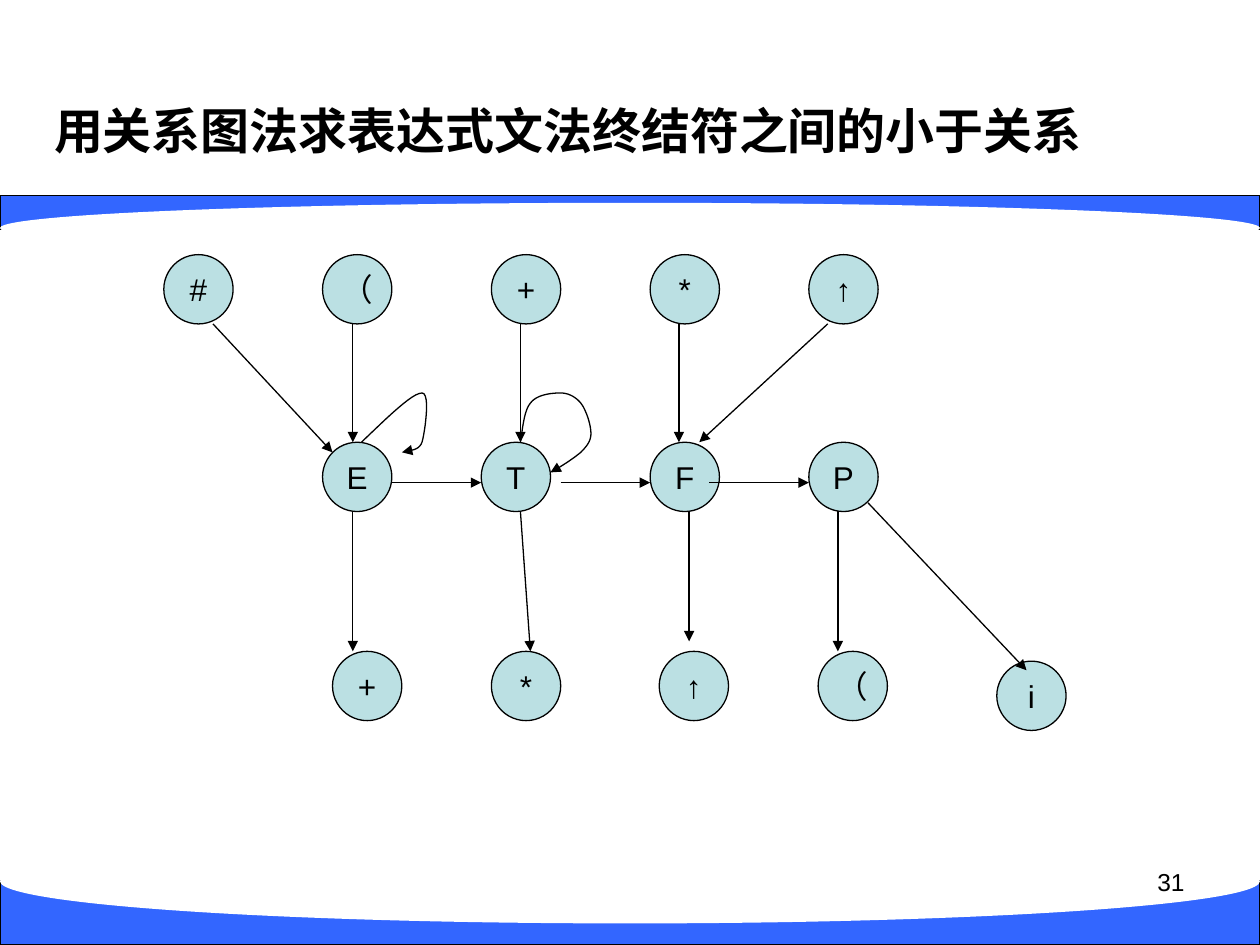
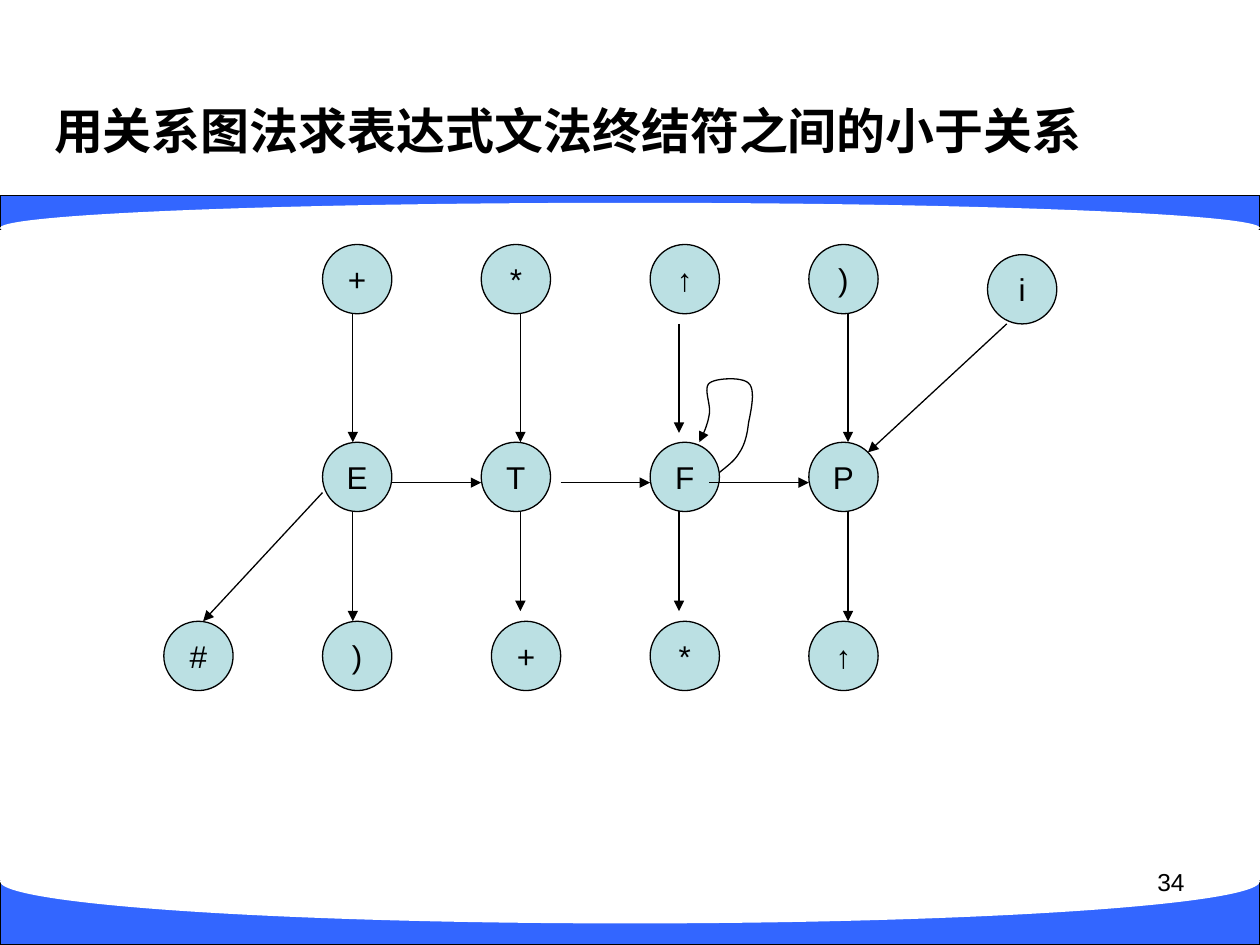
from lxml import etree
from pptx import Presentation
from pptx.dml.color import RGBColor
from pptx.enum import shapes, text
from pptx.oxml import ns
from pptx.util import Pt

# Shared style
FONT = "Arial"
BLACK = RGBColor(0x00, 0x00, 0x00)
WHITE = RGBColor(0xFF, 0xFF, 0xFF)
BAND_BLUE = RGBColor(0x33, 0x66, 0xFF)
NODE_BLUE = RGBColor(0xBB, 0xE0, 0xE3)
SLIDE_W, SLIDE_H = 720, 540
LINE_W = 0.75
TITLE = "用关系图法求表达式文法终结符之间的小于关系"

# Diagram grid: columns are left edges of nodes, rows are top edges
NODE = 39.6
COL_HASH, COL_E, COL_T, COL_F, COL_P = 93.6, 184.3, 275, 371.5, 462.2
COL_PLUS = 280.8
ROW_MID = 252.7
MID_BOTTOM = ROW_MID + NODE
AXIS_Y = 275.8
STEM_E, STEM_T, STEM_F, STEM_P = 201.6, 297.4, 388, 484.6

NONTERMINALS = [("E", COL_E, ROW_MID), ("T", COL_T, ROW_MID),
                ("F", COL_F, ROW_MID), ("P", COL_P, ROW_MID)]
CHAIN = [(224, AXIS_Y, COL_T, AXIS_Y), (320.4, AXIS_Y, COL_F, AXIS_Y),
         (405.4, AXIS_Y, COL_P, AXIS_Y)]

# Self loops: a start point, then three Bezier points per curve
LOOP_E = [(206.6, 252.7), (221, 239), (235.4, 224.6), (241.2, 224.6),
          (246.2, 224.6), (242.6, 247.7), (241.2, 252.7),
          (239, 258.5), (232.6, 257), (229.7, 258.5)]
LOOP_T = [(297.4, 252.7), (298.8, 244.1), (299.5, 234.7), (303.1, 230.4),
          (306.7, 225.4), (315.4, 224.6), (320.4, 224.6),
          (324.7, 224.6), (329, 226.8), (331.9, 230.4),
          (334.8, 234), (337.7, 242.6), (337.7, 247.7),
          (337.7, 252), (335.5, 254.9), (331.9, 258.5),
          (327.6, 262.1), (321.1, 266.4), (314.6, 270)]
LOOP_F = [(411.1, 270), (415.4, 266.4), (419.8, 263.5), (422.6, 258.5),
          (425.5, 254.2), (427, 248.4), (427.7, 241.9),
          (429.1, 234.7), (432, 222.5), (427.7, 218.9),
          (424.1, 215.3), (409, 216), (405.4, 218.9),
          (401.8, 221.8), (406.1, 230.4), (405.4, 236.2),
          (404.6, 241.9), (402.5, 247), (399.6, 252.7)]


def write(frame, content, size, align, bold=False):
    frame.text = content
    paragraph = frame.paragraphs[0]
    paragraph.alignment = align
    font = paragraph.runs[0].font
    font.name, font.size, font.bold = FONT, Pt(size), bold
    font.color.rgb = BLACK


def add_label(slide, box, content, size, align, anchor, bold=False):
    frame = slide.shapes.add_textbox(*map(Pt, box)).text_frame
    frame.word_wrap = True
    frame.vertical_anchor = anchor
    write(frame, content, size, align, bold)


def add_filled(slide, kind, box, fill, outlined=True):
    shape = slide.shapes.add_shape(kind, *map(Pt, box))
    shape.shadow.inherit = False
    shape.fill.solid()
    shape.fill.fore_color.rgb = fill
    if outlined:
        shape.line.color.rgb = BLACK
        shape.line.width = Pt(LINE_W)
    else:
        shape.line.fill.background()
    return shape


def add_band(slide, band_top, band_height, curve_top, curve_height):
    add_filled(slide, shapes.MSO_SHAPE.RECTANGLE,
               (0, band_top, SLIDE_W, band_height), BAND_BLUE)
    add_filled(slide, shapes.MSO_SHAPE.OVAL,
               (0, curve_top, SLIDE_W, curve_height), WHITE, outlined=False)


def add_node(slide, symbol, left, top):
    node = add_filled(slide, shapes.MSO_SHAPE.OVAL, (left, top, NODE, NODE), NODE_BLUE)
    frame = node.text_frame
    frame.word_wrap = False
    frame.vertical_anchor = text.MSO_ANCHOR.MIDDLE
    write(frame, symbol, 18, text.PP_ALIGN.CENTER)


def style_arrow(line):
    line.color.rgb = BLACK
    line.width = Pt(LINE_W)
    etree.SubElement(line._get_or_add_ln(), ns.qn("a:tailEnd"), type="triangle")


def add_arrow(slide, x1, y1, x2, y2):
    arrow = slide.shapes.add_connector(
        shapes.MSO_CONNECTOR.STRAIGHT, *map(Pt, (x1, y1, x2, y2)))
    style_arrow(arrow.line)
    etree.SubElement(arrow._element.spPr, ns.qn("a:effectLst"))


def bezier_points(controls, steps=12):
    for i in range(0, len(controls) - 1, 3):
        curve = controls[i:i + 4]
        for step in range(1, steps + 1):
            t = step / steps
            weights = ((1 - t) ** 3, 3 * t * (1 - t) ** 2, 3 * t * t * (1 - t), t ** 3)
            yield tuple(Pt(sum(w * p[axis] for w, p in zip(weights, curve)))
                        for axis in (0, 1))


def add_loop(slide, controls):
    builder = slide.shapes.build_freeform(*map(Pt, controls[0]))
    builder.add_line_segments(list(bezier_points(controls)), close=False)
    loop = builder.convert_to_shape()
    loop.fill.background()
    style_arrow(loop.line)
    loop.shadow.inherit = False


def add_diagram_slide(deck, number, terminals, arrows, loops):
    slide = deck.slides.add_slide(deck.slide_layouts[6])
    # Bands, title and slide number
    add_band(slide, 111.6, 19.4, 115.9, 28.8)
    add_band(slide, 503.3, 36.7, 479.5, 48.2)
    add_label(slide, (23.8, 48.2, 672.5, 51.8), TITLE, 28,
              text.PP_ALIGN.LEFT, text.MSO_ANCHOR.MIDDLE, bold=True)
    add_label(slide, (516.2, 491.8, 167.8, 37.4), number, 14,
              text.PP_ALIGN.RIGHT, text.MSO_ANCHOR.TOP)
    # Relation graph
    for node in NONTERMINALS + terminals:
        add_node(slide, *node)
    for arrow in CHAIN + arrows:
        add_arrow(slide, *arrow)
    for loop in loops:
        add_loop(slide, loop)


def main():
    deck = Presentation()
    deck.slide_width, deck.slide_height = Pt(SLIDE_W), Pt(SLIDE_H)

    # First graph: loops on E and T
    upper, lower = 145.5, 372.2
    upper_bottom = upper + NODE
    add_diagram_slide(
        deck, "31",
        [("#", COL_HASH, upper), ("（", COL_E, upper), ("+", COL_PLUS, upper),
         ("*", COL_F, upper), ("↑", COL_P, upper),
         ("+", 190, lower), ("*", COL_PLUS, lower), ("↑", 376.7, lower),
         ("（", 467.5, lower), ("i", 569.6, 377.8)],
        [(121.7, upper_bottom, 190, 258.5),
         (STEM_E, upper_bottom, STEM_E, ROW_MID),
         (STEM_T, upper_bottom, STEM_T, ROW_MID),
         (STEM_F, upper_bottom, STEM_F, ROW_MID),
         (473, upper_bottom, 399.6, ROW_MID),
         (STEM_E, MID_BOTTOM, STEM_E, lower),
         (STEM_T, MID_BOTTOM, 303.1, lower),
         (393.8, MID_BOTTOM, 393.8, 366.5),
         (478.8, MID_BOTTOM, 478.8, lower),
         (496, 287.3, 586.6, 383)],
        [LOOP_E, LOOP_T])

    # Second graph: loop on F
    upper, lower = 139.7, 355
    upper_bottom = upper + NODE
    add_diagram_slide(
        deck, "34",
        [("+", COL_E, upper), ("*", COL_T, upper), ("↑", COL_F, upper),
         (")", COL_P, upper), ("i", 564.3, 145.5),
         ("#", COL_HASH, lower), (")", COL_E, lower), ("+", COL_PLUS, lower),
         ("*", COL_F, lower), ("↑", COL_P, lower)],
        [(STEM_E, upper_bottom, STEM_E, ROW_MID),
         (STEM_T, upper_bottom, STEM_T, ROW_MID),
         (STEM_F, 185.1, STEM_F, 247.4),
         (STEM_P, upper_bottom, STEM_P, ROW_MID),
         (575.3, 185.1, 496, 258.5),
         (COL_E, 281.5, 116.1, lower),
         (STEM_E, MID_BOTTOM, STEM_E, lower),
         (STEM_T, MID_BOTTOM, STEM_T, 349.2),
         (STEM_F, MID_BOTTOM, STEM_F, 349.2),
         (STEM_P, MID_BOTTOM, STEM_P, lower)],
        [LOOP_F])

    deck.save("out.pptx")


if __name__ == "__main__":
    main()
